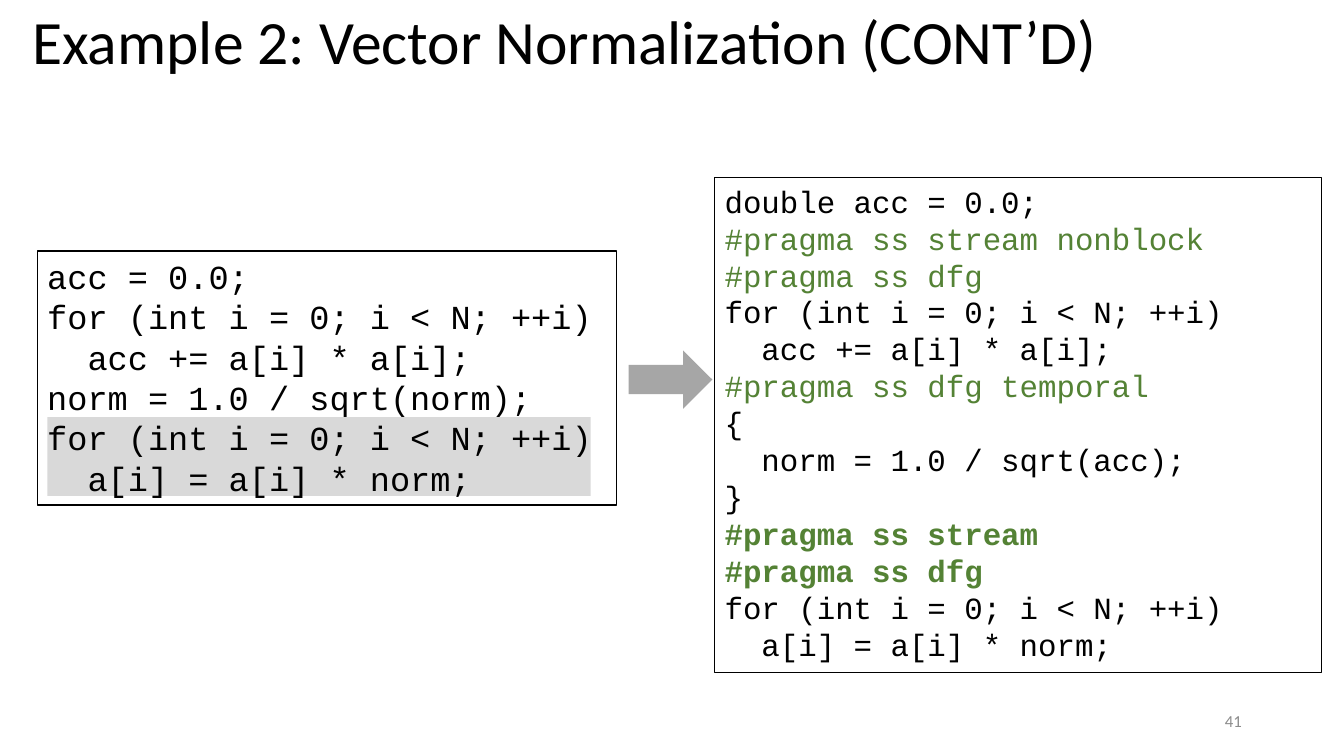
"""Vector normalization slide: plain loop code turned into pragma-annotated code."""
import pptx
import pptx.util
import pptx.dml.color
import pptx.enum.shapes
import pptx.enum.text

Pt = pptx.util.Pt
RGB = pptx.dml.color.RGBColor.from_string
SHAPE = pptx.enum.shapes.MSO_SHAPE
ALIGN = pptx.enum.text.PP_ALIGN
ANCHOR = pptx.enum.text.MSO_ANCHOR

THEME = {
    "ink": RGB("000000"), "pragma": RGB("548235"), "number": RGB("8C8C8C"),
    "highlight": RGB("D9D9D9"), "arrow": RGB("A6A6A6"),
    "title_size": 44, "number_size": 12, "source_size": 24, "result_size": 22,
    "text_font": "Calibri", "code_font": "Courier New", "code_leading": 1.2,
}

SOURCE_CODE = """acc = 0.0;
for (int i = 0; i < N; ++i)
  acc += a[i] * a[i];
norm = 1.0 / sqrt(norm);
for (int i = 0; i < N; ++i)
  a[i] = a[i] * norm;"""

RESULT_CODE = """double acc = 0.0;
#pragma ss stream nonblock
#pragma ss dfg
for (int i = 0; i < N; ++i)
  acc += a[i] * a[i];
#pragma ss dfg temporal
{
  norm = 1.0 / sqrt(acc);
}
#pragma ss stream
#pragma ss dfg
for (int i = 0; i < N; ++i)
  a[i] = a[i] * norm;"""
BOLD_LINES = (9, 10)


def add_block(kind, box, fill):
    """Add a filled preset shape without outline or shadow."""
    sp = s.shapes.add_shape(kind, *map(Pt, box))
    sp.shadow.inherit = False
    sp.fill.solid()
    sp.fill.fore_color.rgb = fill
    sp.line.fill.background()


def add_line(p, text, color, **formats):
    """Write one run into a paragraph with the given font values."""
    r = p.add_run()
    r.text = text
    r.font.color.rgb = color
    for name, value in formats.items():
        setattr(r.font, name, value)


prs = pptx.Presentation()
prs.slide_width, prs.slide_height = Pt(960), Pt(540)
s = prs.slides.add_slide(prs.slide_layouts[6])

add_block(SHAPE.RECTANGLE, (33.84, 298, 388, 56.2), THEME["highlight"])

labels = [
    ("Example 2: Vector Normalization (CONT’D)", (16, 0, 828, 63.36),
     "title_size", "ink", ALIGN.LEFT, 0.9),
    ("41", (678.24, 500.4, 216, 28.8), "number_size", "number", ALIGN.RIGHT, 1.0),
]
for text, box, size, color, align, leading in labels:
    tf = s.shapes.add_textbox(*map(Pt, box)).text_frame
    tf.word_wrap = True
    tf.vertical_anchor = ANCHOR.MIDDLE
    p = tf.paragraphs[0]
    p.alignment, p.line_spacing = align, leading
    add_line(p, text, THEME[color], size=Pt(THEME[size]), name=THEME["text_font"])

listings = [
    (SOURCE_CODE, (26.64, 179.28, 414, 181.44), "source_size", ()),
    (RESULT_CODE, (510.48, 126.72, 433.44, 353.52), "result_size", BOLD_LINES),
]
for code, box, size, bold_lines in listings:
    sp = s.shapes.add_textbox(*map(Pt, box))
    sp.line.color.rgb = THEME["ink"]
    sp.line.width = Pt(0.75)
    tf = sp.text_frame
    tf.word_wrap = True
    for i, text in enumerate(code.split("\n")):
        p = tf.paragraphs[0] if i == 0 else tf.add_paragraph()
        p.line_spacing = Pt(THEME[size] * THEME["code_leading"])
        color = THEME["pragma" if text.startswith("#") else "ink"]
        add_line(p, text, color, size=Pt(THEME[size]), name=THEME["code_font"],
                 bold=i in bold_lines)

add_block(SHAPE.RIGHT_ARROW, (449, 250.2, 59.8, 41.8), THEME["arrow"])

prs.save("out.pptx")
